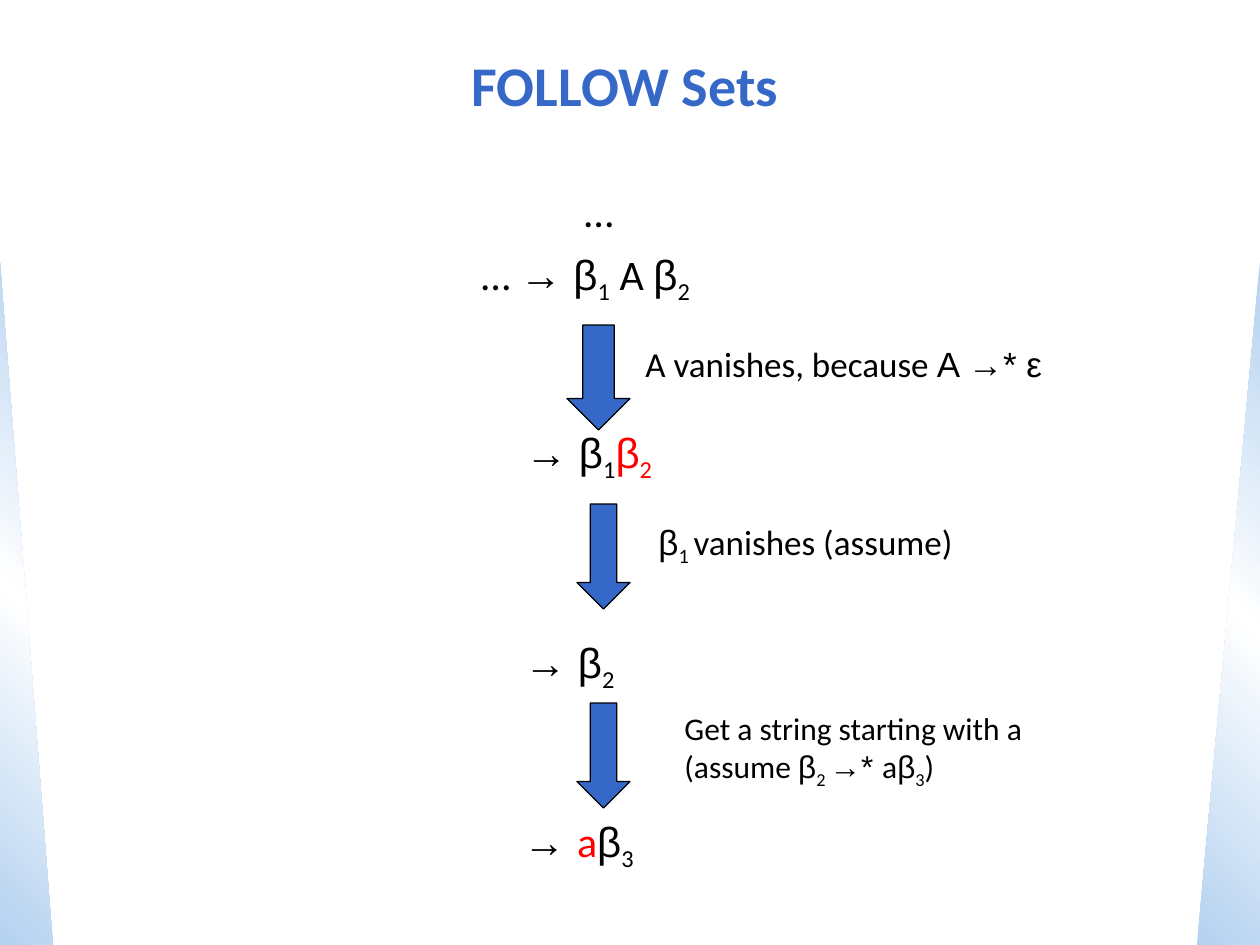
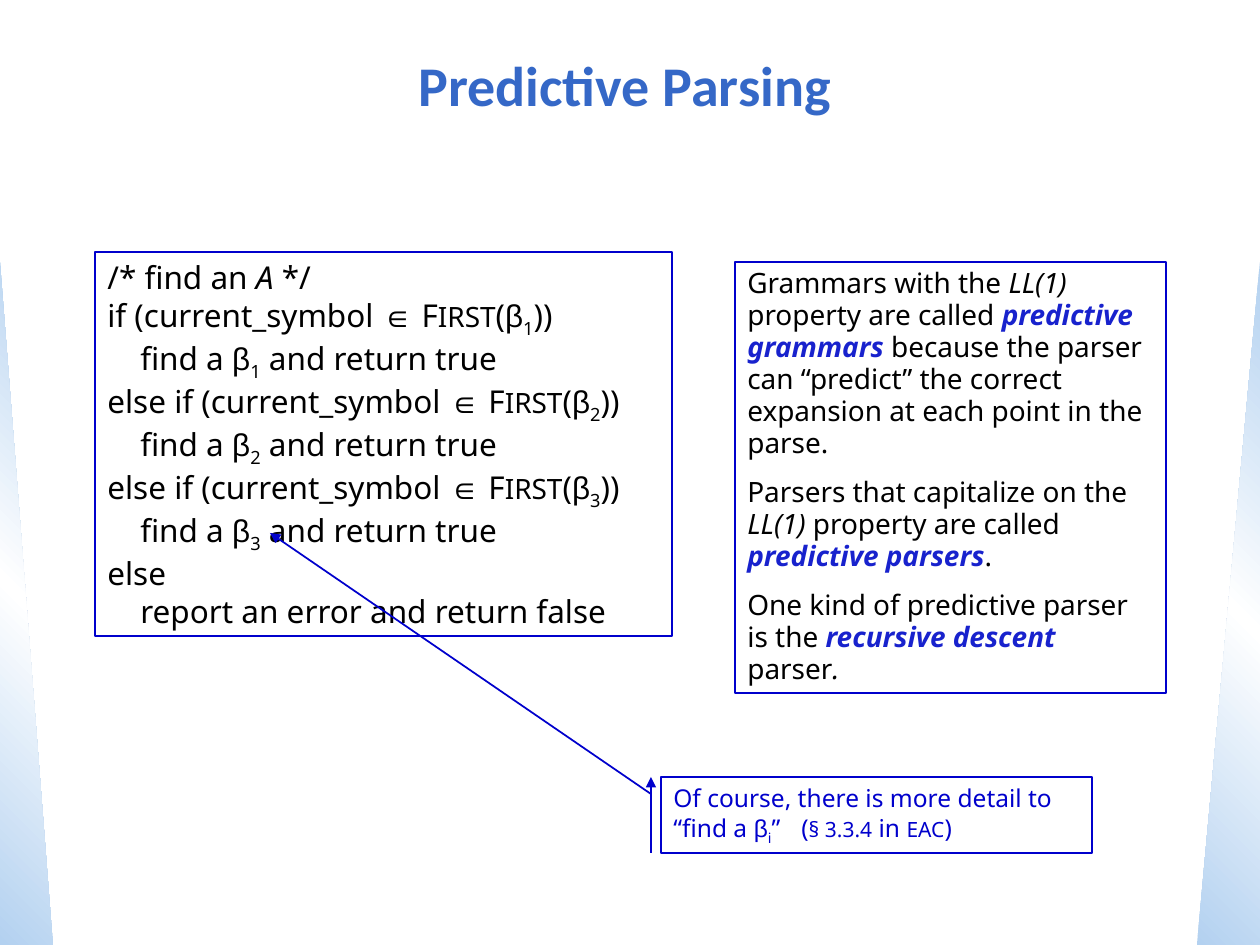
from dataclasses import dataclass
from pptx import Presentation
from pptx.dml.color import RGBColor
from pptx.enum.shapes import MSO_CONNECTOR, MSO_SHAPE
from pptx.enum.text import MSO_ANCHOR, PP_ALIGN
from pptx.oxml import parse_xml
from pptx.oxml.ns import nsdecls, qn
from pptx.util import Emu, Pt


@dataclass(frozen=True)
class Theme:
    blue: str = "3568C7"
    outline: str = "0000CC"
    term: str = "1822CD"
    red: str = "FF0000"
    black: str = "000000"
    band: str = "B3D1F0"
    white: str = "FFFFFF"
    heading_font: str = "Calibri"
    code_font: str = "Noto Sans"
    symbol_font: str = "Arial"
    title_size: int = 32
    formula_size: int = 24
    reason_size: int = 20
    body_size: int = 18
    panel_size: int = 16
    note_size: int = 14
    note_small: int = 12


THEME = Theme()
PX_PER_INCH = 126
SLIDE_SIZE = (1260, 945)
TITLE_AT = (32, 32, 1186, 105)
SIDE_BANDS = [((0, 262, 53, 683), 135, False), ((1197, 262, 63, 683), 225, True)]

FOLLOW_TITLE = "FOLLOW Sets"
FORMULAS = [
    ((572, 179), ["…"]),
    ((469, 242), ["… ", ("→ β", "symbol"), ("1", "sub"), " A ", ("β", "symbol"), ("2", "sub")]),
    ((513, 420), [("→ β", "symbol"), ("1", "sub"), ("β", "symbol red"), ("2", "sub red")]),
    ((512, 630), [("→ β", "symbol"), ("2", "sub")]),
    ((511, 809), [("→ ", "symbol"), ("a", "red"), ("β", "symbol"), ("3", "sub")]),
]
FORMULA_SIZE = (270, 70)
STEP_ARROWS = [(567, 325, 63, 105), (577, 504, 53, 105), (577, 703, 53, 105)]
REASONS = [
    ((633, 336, 483, 55), THEME.reason_size, ["A vanishes, because ", ("A →* ε", "symbol")]),
    ((646, 514, 372, 60), THEME.reason_size,
     [("β", "symbol"), ("1 ", "sub"), "vanishes (assume)"]),
    ((672, 703, 399, 93), THEME.body_size,
     ["Get a string starting with a (assume ", ("β", "symbol"), ("2 ", "sub"),
      ("→* ", "symbol"), "a", ("β", "symbol"), ("3", "sub"), ")"]),
]

PARSING_TITLE = "Predictive Parsing"
CODE_AT = (95, 252, 577, 384)
CODE_INDENT = 33
BRANCHES = [("if", "1"), ("else if", "2"), ("else if", "3")]
GRAMMAR_AT = (735, 262, 431, 431)
GRAMMAR_TEXT = [
    ["Grammars with the ", ("LL(1)", "italic"), " property are called ",
     ("predictive grammars ", "term"),
     "because the parser can “predict” the correct expansion at each point in the parse."],
    ["Parsers that capitalize on the ", ("LL(1)", "italic"), " property are called ",
     ("predictive parsers", "term"), "."],
    ["One kind of predictive parser is the ", ("recursive descent ", "term"),
     "parser", (".", "italic")],
]
NOTE_AT = (661, 777, 431, 76)
NOTE_TAB = 128
NOTE_TEXT = ["Of course, there is more detail to “find a ", ("β", "symbol"), ("i", "sub"),
             "”\t(", ("§ 3.3.4", "small"), " in ", ("EAC", "small"), ")"]
NOTE_POINTERS = [(270, 533, 651, 794), (651, 777, 651, 853)]


def px(length):
    return Emu(round(length * 914400 / PX_PER_INCH))


def place(*lengths):
    return [px(length) for length in lengths]


def color(code):
    return RGBColor.from_string(code)


def write_runs(para, runs, size, font, ink=THEME.black, small=None):
    for item in runs:
        text, style = (item, "") if isinstance(item, str) else item
        marks = style.split()
        span = para.add_run()
        span.text = text
        span.font.name = THEME.symbol_font if "symbol" in marks else font
        span.font.size = Pt(small if "small" in marks else size)
        span.font.bold = "term" in marks
        span.font.italic = "term" in marks or "italic" in marks
        shade = THEME.red if "red" in marks else THEME.term if "term" in marks else ink
        span.font.color.rgb = color(shade)
        if "sub" in marks:
            span.font._element.set("baseline", "-25000")


def add_text(page, at, runs, size):
    box = page.shapes.add_textbox(*place(*at))
    box.text_frame.word_wrap = True
    write_runs(box.text_frame.paragraphs[0], runs, size, THEME.heading_font)
    return box


def add_title(page, text):
    box = add_text(page, TITLE_AT, [], THEME.title_size)
    box.text_frame.vertical_anchor = MSO_ANCHOR.MIDDLE
    para = box.text_frame.paragraphs[0]
    para.text = text
    para.alignment = PP_ALIGN.CENTER
    font = para.runs[0].font
    font.name, font.size, font.bold = THEME.heading_font, Pt(THEME.title_size), True
    font.color.rgb = color(THEME.blue)


def add_band(page, at, angle, flipped):
    band = page.shapes.add_shape(MSO_SHAPE.RIGHT_TRIANGLE, *place(*at))
    band.shadow.inherit = False
    band.line.fill.background()
    properties = band._element.spPr
    if flipped:
        properties.get_or_add_xfrm().set("flipH", "1")
    stops = "".join(
        f'<a:gs pos="{position}"><a:srgbClr val="{shade}"/></a:gs>'
        for position, shade in [(0, THEME.band), (50000, THEME.white), (100000, THEME.band)])
    gradient = parse_xml(
        f'<a:gradFill {nsdecls("a")} rotWithShape="1"><a:gsLst>{stops}</a:gsLst>'
        f'<a:lin ang="{angle * 60000}" scaled="0"/></a:gradFill>')
    properties.find(qn("a:prstGeom")).addnext(gradient)


def add_page(deck, title):
    page = deck.slides.add_slide(deck.slide_layouts[6])
    page.background.fill.solid()
    page.background.fill.fore_color.rgb = color(THEME.white)
    for band in SIDE_BANDS:
        add_band(page, *band)
    add_title(page, title)
    return page


def add_step_arrow(page, at):
    arrow = page.shapes.add_shape(MSO_SHAPE.DOWN_ARROW, *place(*at))
    arrow.shadow.inherit = False
    arrow.fill.solid()
    arrow.fill.fore_color.rgb = color(THEME.blue)
    arrow.line.color.rgb = color(THEME.black)
    arrow.line.width = Pt(0.75)


def add_panel(page, at, paragraphs, size, **style):
    panel = page.shapes.add_shape(MSO_SHAPE.RECTANGLE, *place(*at))
    panel.shadow.inherit = False
    panel.fill.background()
    panel.line.color.rgb = color(THEME.outline)
    panel.line.width = Pt(1)
    frame = panel.text_frame
    frame.word_wrap = True
    frame.vertical_anchor = MSO_ANCHOR.TOP
    for index, runs in enumerate(paragraphs):
        para = frame.add_paragraph() if index else frame.paragraphs[0]
        para.alignment = PP_ALIGN.LEFT
        write_runs(para, runs, size, THEME.code_font, **style)
    return frame.paragraphs


def add_pointer(page, ends):
    pointer = page.shapes.add_connector(MSO_CONNECTOR.STRAIGHT, *place(*ends))
    pointer.line.color.rgb = color(THEME.outline)
    pointer.line.width = Pt(1)
    pointer.line._get_or_add_ln().append(
        parse_xml(f'<a:headEnd {nsdecls("a")} type="triangle"/>'))
    pointer._element.spPr.append(parse_xml(f'<a:effectLst {nsdecls("a")}/>'))


def code_lines():
    lines = [(0, ["/* find an ", ("A", "italic"), " */"])]
    for keyword, number in BRANCHES:
        beta = [("β", "symbol"), (number, "sub")]
        lines.append((0, [f"{keyword} (current_symbol ", ("∈", "symbol"), " F",
                          ("IRST", "small"), "(", *beta, "))"]))
        lines.append((CODE_INDENT, ["find a ", *beta, " and return true"]))
    return lines + [(0, ["else"]), (CODE_INDENT, ["report an error and return false"])]


def build_follow_sets(deck):
    page = add_page(deck, FOLLOW_TITLE)
    for corner, runs in FORMULAS:
        add_text(page, corner + FORMULA_SIZE, runs, THEME.formula_size)
    for at in STEP_ARROWS:
        add_step_arrow(page, at)
    for at, size, runs in REASONS:
        add_text(page, at, runs, size)


def build_predictive_parsing(deck):
    page = add_page(deck, PARSING_TITLE)
    lines = code_lines()
    code = add_panel(page, CODE_AT, [runs for _, runs in lines], THEME.body_size,
                     small=THEME.panel_size)
    for para, (indent, _) in zip(code, lines):
        para._p.get_or_add_pPr().set("marL", str(px(indent)))
    note = add_panel(page, NOTE_AT, [NOTE_TEXT], THEME.note_size,
                     ink=THEME.outline, small=THEME.note_small)
    note[0]._p.get_or_add_pPr().append(parse_xml(
        f'<a:tabLst {nsdecls("a")}><a:tab pos="{px(NOTE_TAB)}" algn="l"/></a:tabLst>'))
    for ends in NOTE_POINTERS:
        add_pointer(page, ends)
    for para in add_panel(page, GRAMMAR_AT, GRAMMAR_TEXT, THEME.panel_size):
        para.line_spacing = 0.95
        para.space_before = Pt(10)


def main():
    deck = Presentation()
    deck.slide_width, deck.slide_height = place(*SLIDE_SIZE)
    build_follow_sets(deck)
    build_predictive_parsing(deck)
    deck.save("out.pptx")


if __name__ == "__main__":
    main()
